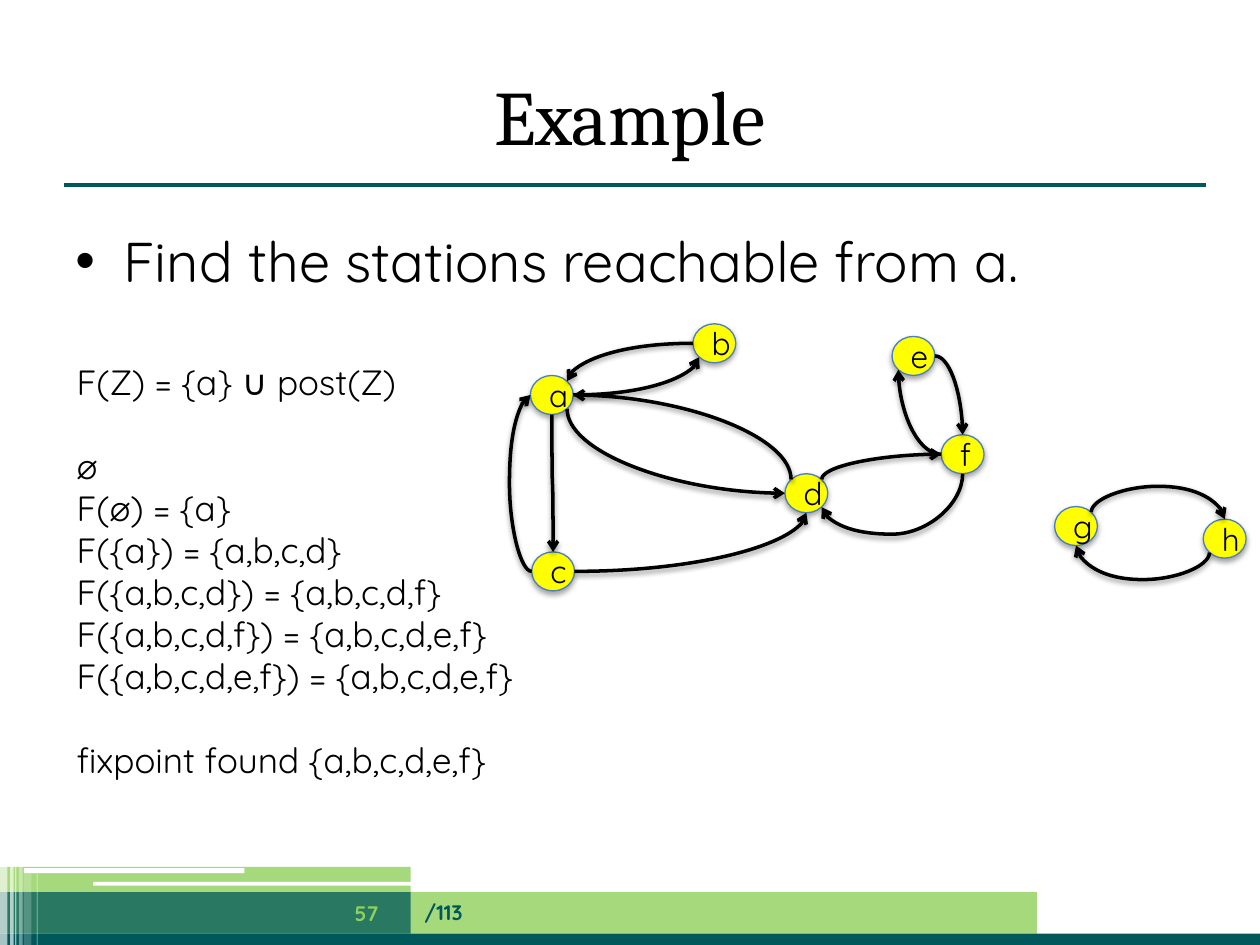
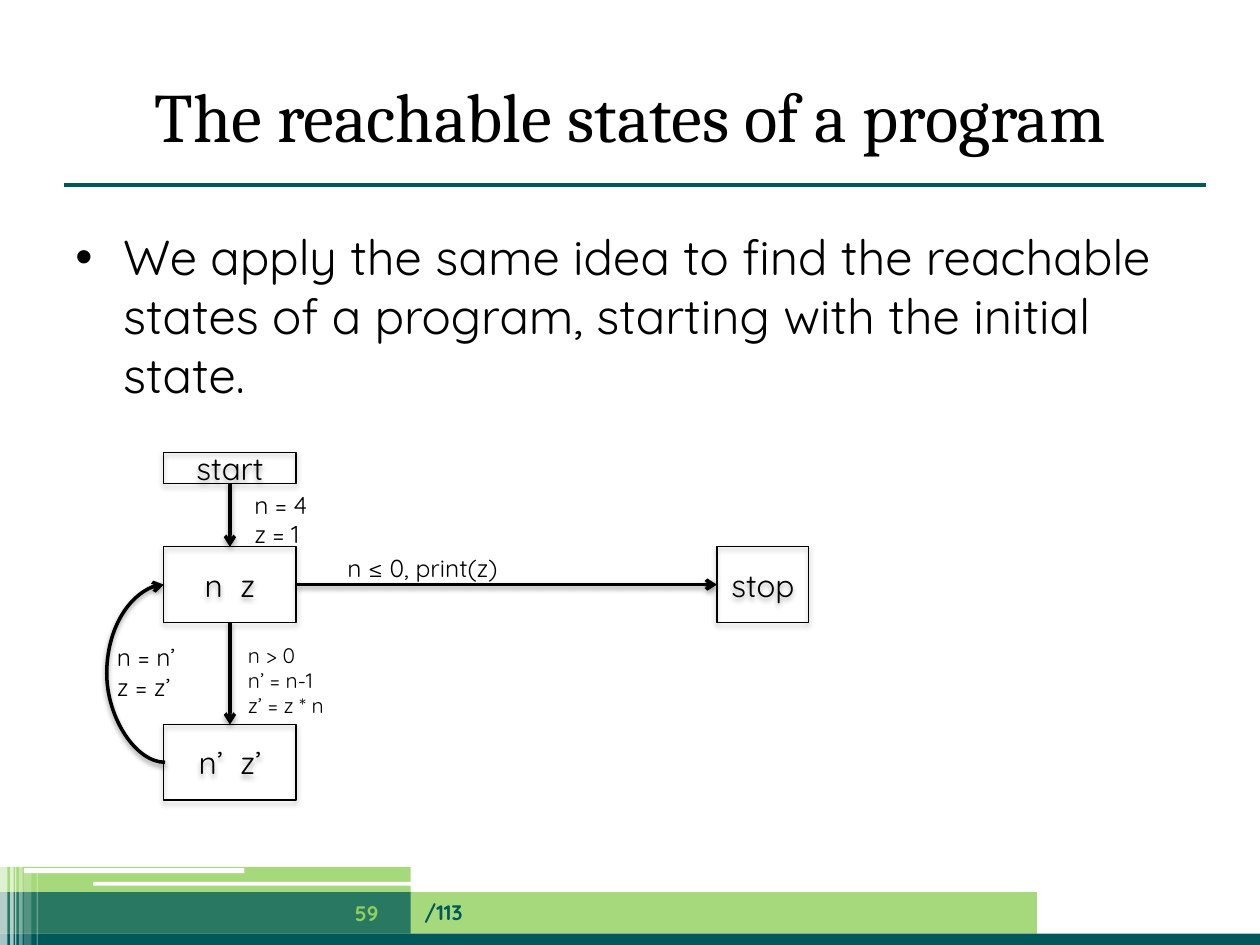
from lxml import etree
from pptx import Presentation
from pptx.dml.color import RGBColor
from pptx.enum.shapes import MSO_CONNECTOR, MSO_SHAPE
from pptx.enum.text import MSO_ANCHOR, MSO_AUTO_SIZE, PP_ALIGN
from pptx.oxml.ns import qn
from pptx.util import Inches, Pt

RECT, ROUNDED, OVAL = MSO_SHAPE.RECTANGLE, MSO_SHAPE.ROUNDED_RECTANGLE, MSO_SHAPE.OVAL
STRAIGHT, CURVE = MSO_CONNECTOR.STRAIGHT, MSO_CONNECTOR.CURVE
LEFT, CENTER = PP_ALIGN.LEFT, PP_ALIGN.CENTER
TOP_ANCHOR, MIDDLE = MSO_ANCHOR.TOP, MSO_ANCHOR.MIDDLE
FIT_SHAPE = MSO_AUTO_SIZE.SHAPE_TO_FIT_TEXT
TOP, LEFT_SIDE, BOTTOM, RIGHT_SIDE = range(4)

COLORS = {
    "ink": "000000",
    "white": "FFFFFF",
    "teal": "00585A",
    "green": "90D05C",
    "node": "FFFF00",
    "node_edge": "4B7EBC",
}
TITLE_FONT, BODY_FONT = "Cambria", "Quicksand"

# shape, left, top, width, height, colour, opacity in percent
BANDS = [
    (RECT, 0, 7.08, 8.23, 0.33, "green", 80),
    (RECT, 0, 7.41, 10, 0.09, "teal", 100),
    (RECT, 0, 7.08, 3.26, 0.33, "teal", 75),
    (RECT, 0, 6.88, 3.26, 0.2, "green", 80),
    (ROUNDED, 0.74, 7, 3.35, 0.03, "white", 100),
    (ROUNDED, 0.19, 6.89, 1.75, 0.04, "white", 100),
]
# left, top, width, opacity in percent
STRIPES = [
    (0, 6.86, 0.06, 65),
    (0.08, 6.86, 0.03, 65),
    (0.12, 6.86, 0.01, 60),
    (0.15, 6.86, 0.03, 40),
    (0.19, 6.9, 0.06, 20),
    (0.29, 6.9, 0.01, 30),
]

NODE_WIDTH, NODE_HEIGHT = 0.34, 0.31
NODES = {
    "a": (4.21, 2.98), "c": (4.22, 4.38), "b": (5.5, 2.57), "d": (6.23, 3.76),
    "e": (7.08, 2.67), "g": (8.37, 4.02), "f": (7.47, 3.45), "h": (9.55, 4.12),
}
SIDES = {
    "N": (0, -1), "S": (0, 1), "E": (1, 0), "W": (-1, 0),
    "NE": (0.71, -0.71), "NW": (-0.71, -0.71), "SE": (0.71, 0.71), "SW": (-0.71, 0.71),
}
# from node, side, to node, side, where the loop turns back (if it does)
EDGES = [
    ("g", "NE", "h", "N", 3.86),
    ("h", "SW", "g", "S", 4.6),
    ("a", "E", "b", "SW", None),
    ("a", "S", "c", "N", 3.84),
    ("a", "SE", "d", "W", None),
    ("c", "E", "d", "S", None),
    ("b", "W", "a", "NE", None),
    ("c", "W", "a", "W", 4.04),
    ("d", "NW", "a", "E", None),
    ("d", "NE", "f", "W", None),
    ("f", "S", "d", "SE", 4.24),
    ("e", "E", "f", "N", None),
    ("f", "W", "e", "SW", None),
]

FIXPOINT_STEPS = [
    "F(Z) = {a} ∪ post(Z)",
    "∅",
    "F(∅) = {a}",
    "F({a}) = {a,b,c,d}",
    "F({a,b,c,d}) = {a,b,c,d,f}",
    "F({a,b,c,d,f}) = {a,b,c,d,e,f}",
    "F({a,b,c,d,e,f}) = {a,b,c,d,e,f}",
    "fixpoint found {a,b,c,d,e,f}",
]


def rgb(name):
    return RGBColor.from_string(COLORS[name])


def inches(*lengths):
    return [Inches(length) for length in lengths]


def style_font(font, size, color="ink", name=BODY_FONT, bold=False):
    font.name, font.size, font.bold = name, Pt(size), bold
    font.color.rgb = rgb(color)


def add_shadow(shape, opacity, distance):
    """Give a shape or connector a soft shadow that falls straight down."""
    properties = shape._element.spPr
    effects = properties.find(qn("a:effectLst"))
    if effects is None:
        effects = etree.SubElement(properties, qn("a:effectLst"))
    shadow = etree.SubElement(effects, qn("a:outerShdw"), blurRad=str(Pt(3.1)),
                              dist=str(Pt(distance)), dir="5400000", rotWithShape="0")
    color = etree.SubElement(shadow, qn("a:srgbClr"), val=COLORS["ink"])
    etree.SubElement(color, qn("a:alpha"), val=str(opacity * 1000))


def add_band(page, kind, left, top, width, height, color, opacity):
    band = page.shapes.add_shape(kind, *inches(left, top, width, height))
    band.shadow.inherit = False
    band.line.fill.background()
    band.fill.solid()
    band.fill.fore_color.rgb = rgb(color)
    if opacity < 100:
        tint = band._element.spPr.find(qn("a:solidFill"))[0]
        etree.SubElement(tint, qn("a:alpha"), val=str(opacity * 1000))


def add_text(page, place, text, size, align=LEFT, anchor=TOP_ANCHOR, bullet=False, **font):
    box = page.shapes.add_textbox(*inches(*place))
    frame = box.text_frame
    frame.word_wrap = True
    frame.vertical_anchor = anchor
    para = frame.paragraphs[0]
    para.text = text
    para.alignment = align
    if bullet:
        settings = para._p.get_or_add_pPr()
        settings.set("marL", str(Inches(0.38)))
        settings.set("indent", str(Inches(-0.38)))
        etree.SubElement(settings, qn("a:buFont"), typeface="Arial")
        etree.SubElement(settings, qn("a:buChar"), char="•")
    style_font(para.font, size, **font)


def add_lines(page, place, lines, size, gaps=None):
    """Add an unwrapped label; gaps maps a line number to the points above it."""
    box = page.shapes.add_textbox(*inches(*place))
    frame = box.text_frame
    frame.word_wrap = False
    frame.auto_size = FIT_SHAPE
    for number, line in enumerate(lines):
        para = frame.add_paragraph() if number else frame.paragraphs[0]
        para.text = line
        if gaps and number in gaps:
            para.space_before = Pt(gaps[number])
        style_font(para.font, size)


def add_state(page, kind, place, label, fill=None, edge="ink"):
    state = page.shapes.add_shape(kind, *inches(*place))
    state.shadow.inherit = False
    if fill:
        state.fill.solid()
        state.fill.fore_color.rgb = rgb(fill)
    else:
        state.fill.background()
    state.line.color.rgb = rgb(edge)
    state.line.width = Pt(0.75)
    add_shadow(state, 35, 1.8)
    para = state.text_frame.paragraphs[0]
    para.text = label
    para.alignment = CENTER
    style_font(para.font, 18)
    return state


def style_arrow(arrow):
    arrow.line.color.rgb = rgb("ink")
    arrow.line.width = Pt(2)
    etree.SubElement(arrow.line._get_or_add_ln(), qn("a:tailEnd"), type="arrow")
    add_shadow(arrow, 38, 1.6)


def add_straight_arrow(page, source, source_side, target, target_side):
    arrow = page.shapes.add_connector(STRAIGHT, 0, 0, 0, 0)
    arrow.begin_connect(source, source_side)
    arrow.end_connect(target, target_side)
    style_arrow(arrow)


def add_curved_arrow(page, start, end, sideways, turn=None):
    """Leave start sideways or vertically; with a turn, swing there and come back."""
    (x1, y1), (x2, y2) = start, end
    dx, dy = x2 - x1, y2 - y1
    if sideways:
        width, height = abs(dx), abs(dy)
        rotation = 180 if dx < 0 else 0
        flip_h, flip_v = False, (dx < 0) != (dy < 0)
    else:
        width, height = abs(dy), abs(dx)
        rotation = 90
        flip_h, flip_v = dy < 0, dx > 0
    left, top = (x1 + x2 - width) / 2, (y1 + y2 - height) / 2
    arrow = page.shapes.add_connector(CURVE, *inches(left, top, left + width, top + height))
    frame = arrow._element.spPr.find(qn("a:xfrm"))
    frame.set("rot", str(rotation * 60000))
    frame.set("flipH", str(int(flip_h)))
    frame.set("flipV", str(int(flip_v)))
    geometry = arrow._element.spPr.find(qn("a:prstGeom"))
    if turn is None:
        geometry.set("prst", "curvedConnector2")
    else:
        share = (turn - x1) / dx if sideways else (turn - y1) / dy
        guides = geometry.find(qn("a:avLst"))
        etree.SubElement(guides, qn("a:gd"), name="adj1", fmla=f"val {round(share * 100000)}")
    style_arrow(arrow)


def node_point(name, side):
    left, top = NODES[name]
    across, down = SIDES[side]
    return left + NODE_WIDTH / 2 * (1 + across), top + NODE_HEIGHT / 2 * (1 + down)


def add_page(deck, title, title_size, number, statement, statement_size, statement_height):
    page = deck.slides.add_slide(deck.slide_layouts[6])
    for band in BANDS:
        add_band(page, *band)
    for left, top, width, opacity in STRIPES:
        add_band(page, RECT, left, top, width, 7.5 - top, "white", opacity)
    rule = page.shapes.add_connector(STRAIGHT, *inches(0.51, 1.47, 9.57, 1.47))
    rule.line.color.rgb = rgb("teal")
    rule.line.width = Pt(2.25)
    etree.SubElement(rule._element.spPr, qn("a:effectLst"))
    add_text(page, (0.5, 0.44, 9, 0.94), title, title_size, CENTER, MIDDLE, name=TITLE_FONT)
    add_text(page, (0.5, 1.75, 9, statement_height), statement, statement_size, bullet=True)
    add_text(page, (3.27, 7.04, 4.96, 0.4), "/113", 12, anchor=MIDDLE, color="teal", bold=True)
    add_text(page, (2.56, 7.05, 0.7, 0.4), number, 12, CENTER, MIDDLE, color="green", bold=True)
    return page


def add_station_page(deck):
    page = add_page(deck, "Example", 44, "57", "Find the stations reachable from a.", 32, 0.74)
    for name, corner in NODES.items():
        add_state(page, OVAL, (*corner, NODE_WIDTH, NODE_HEIGHT), name, "node", "node_edge")
    for source, source_side, target, target_side, turn in EDGES:
        add_curved_arrow(page, node_point(source, source_side),
                         node_point(target, target_side), source_side in ("E", "W"), turn)
    add_lines(page, (0.51, 2.81, 4.09, 3.47), FIXPOINT_STEPS, 20, gaps={1: 24, 7: 24})


def add_program_page(deck):
    statement = ("We apply the same idea to find the reachable states of a program, "
                 "starting with the initial state.")
    page = add_page(deck, "The reachable states of a program", 39.6, "59", statement, 28, 4.95)
    start = add_state(page, RECT, (1.3, 3.59, 1.05, 0.25), "start")
    current = add_state(page, RECT, (1.3, 4.34, 1.05, 0.6), "n  z")
    following = add_state(page, RECT, (1.3, 5.75, 1.05, 0.6), "n’  z’")
    stop = add_state(page, RECT, (5.69, 4.34, 0.73, 0.6), "stop")
    add_straight_arrow(page, start, BOTTOM, current, TOP)
    add_straight_arrow(page, current, BOTTOM, following, TOP)
    add_straight_arrow(page, current, RIGHT_SIDE, stop, LEFT_SIDE)
    add_curved_arrow(page, (1.31, 6.05), (1.3, 4.64), True, 0.84)
    add_lines(page, (1.92, 3.84, 0.66, 0.57), ["n = 4", "z = 1"], 14)
    add_lines(page, (1.87, 5.05, 0.87, 0.71), ["n > 0", "n’ = n-1", "z’ = z * n"], 12)
    add_lines(page, (0.83, 5.05, 0.74, 0.57), ["n = n’", "z = z’"], 14)
    add_lines(page, (2.66, 4.34, 1.4, 0.34), ["n ≤ 0, print(z)"], 14)


def main():
    deck = Presentation()
    deck.slide_width, deck.slide_height = inches(10, 7.5)
    add_station_page(deck)
    add_program_page(deck)
    deck.save("out.pptx")


if __name__ == "__main__":
    main()
